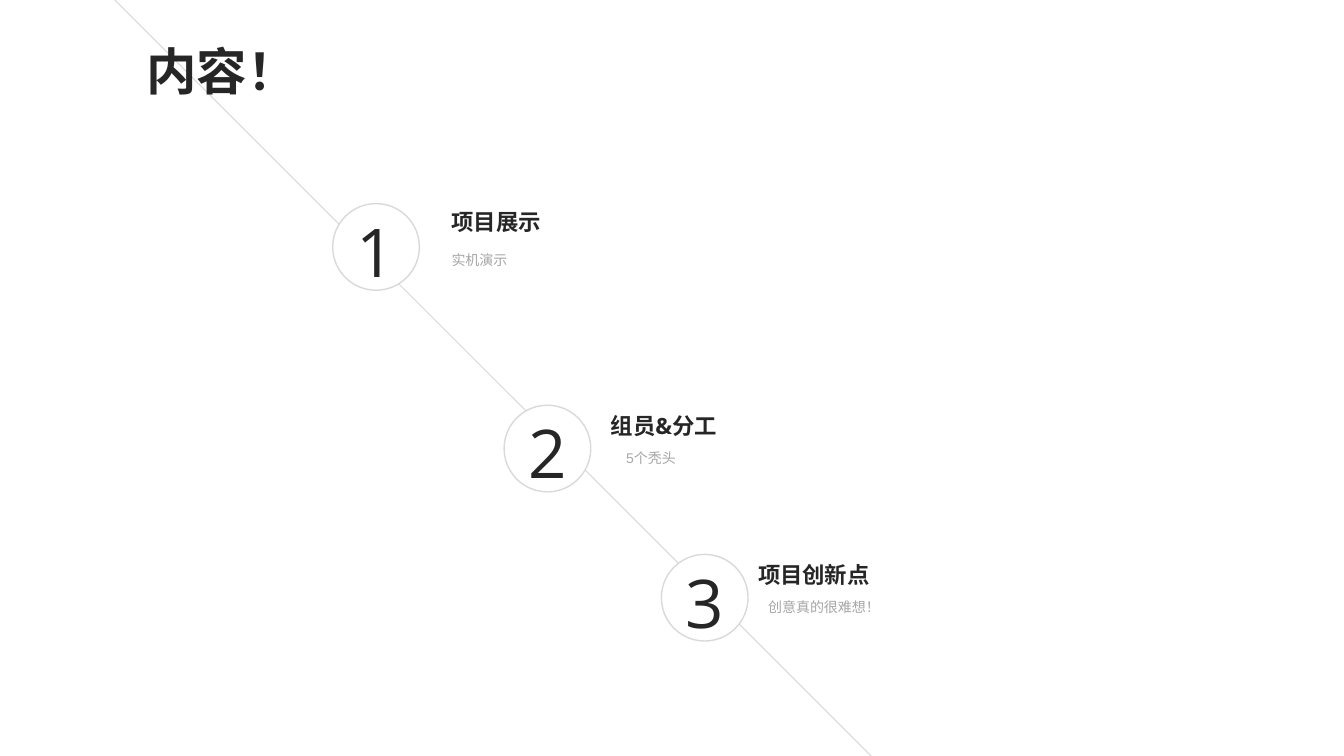
from lxml import etree
from pptx import Presentation
from pptx.dml.color import RGBColor
from pptx.enum.shapes import MSO_CONNECTOR, MSO_SHAPE
from pptx.enum.text import MSO_ANCHOR, MSO_AUTO_SIZE, PP_ALIGN
from pptx.oxml.ns import qn
from pptx.util import Inches, Pt

LEFT, JUSTIFY = PP_ALIGN.LEFT, PP_ALIGN.JUSTIFY
TOP, MIDDLE = MSO_ANCHOR.TOP, MSO_ANCHOR.MIDDLE

# Content: circle corner, heading corner, note corner and note indent, in inches
TITLE = "内容！"
STEPS = [
    dict(circle=(3.3, 2.02), heading=("项目展示", 4.38, 2.02),
         note=("实机演示", 4.38, 2.45), indent=0),
    dict(circle=(5, 4.02), heading=("组员&分工", 5.96, 4.04),
         note=("5个秃头", 6.04, 4.41), indent=0.07),
    dict(circle=(6.56, 5.5), heading=("项目创新点", 7.42, 5.52),
         note=("创意真的很难想！", 7.52, 5.89), indent=0),
]
DIAMETER = 0.86
LINE_START, LINE_LENGTH = (1.07, -0.07), 7.66
DARK, GREY, PALE, WHITE = "262626", "A6A6A6", "D9D9D9", "FFFFFF"


def color(hex_code):
    return RGBColor.from_string(hex_code)


def write(box, text, size, font="Open Sans", hex_code=DARK, bold=False,
          align=LEFT, anchor=TOP, indent=0):
    frame = box.text_frame
    frame.word_wrap = True
    frame.auto_size = MSO_AUTO_SIZE.NONE
    frame.vertical_anchor = anchor
    frame.margin_left = Inches(0.1 + indent)
    para = frame.paragraphs[0]
    para.alignment = align
    span = para.add_run()
    span.text = text
    span.font.size = Pt(size)
    span.font.name = font
    span.font.bold = bold
    span.font.color.rgb = color(hex_code)
    east_asian = etree.SubElement(span.font._element, qn("a:ea"))
    east_asian.set("typeface", font)


def add_text(page, text, left, top, width, height, **style):
    box = page.shapes.add_textbox(*map(Inches, (left, top, width, height)))
    write(box, text, **style)


def add_diagonal(page):
    x, y = LINE_START
    ends = (x, y, x + LINE_LENGTH, y + LINE_LENGTH)
    line = page.shapes.add_connector(MSO_CONNECTOR.STRAIGHT, *map(Inches, ends))
    line.line.color.rgb = color(PALE)
    line.line.width = Pt(0.75)
    etree.SubElement(line._element.spPr, qn("a:effectLst"))
    # Send the line behind the title
    page.shapes.title._element.addprevious(line._element)


def add_step(page, number, step):
    # Numbered circle
    x, y = step["circle"]
    circle = page.shapes.add_shape(
        MSO_SHAPE.OVAL, *map(Inches, (x, y, DIAMETER, DIAMETER)))
    circle.shadow.inherit = False
    circle.fill.solid()
    circle.fill.fore_color.rgb = color(WHITE)
    circle.line.color.rgb = color(PALE)
    circle.line.width = Pt(1)
    add_text(page, str(number), x + 0.14, y + 0.01, 0.45, 0.91,
             size=48, anchor=MIDDLE)

    # Heading and note
    add_text(page, *step["heading"], 2.73, 0.37, size=16, bold=True)
    add_text(page, *step["note"], 3.68, 0.27, size=10, font="Arial",
             hex_code=GREY, align=JUSTIFY, indent=step["indent"])


def main():
    deck = Presentation()
    deck.slide_width, deck.slide_height = Inches(13.33), Inches(7.5)
    page = deck.slides.add_slide(deck.slide_layouts[5])

    # Title and the line behind it
    title = page.shapes.title
    title.left, title.top = Inches(1.35), Inches(0.35)
    title.width, title.height = Inches(3.29), Inches(0.71)
    write(title, TITLE, size=36, bold=True)
    add_diagonal(page)

    for number, step in enumerate(STEPS, start=1):
        add_step(page, number, step)
    deck.save("out.pptx")


if __name__ == "__main__":
    main()
